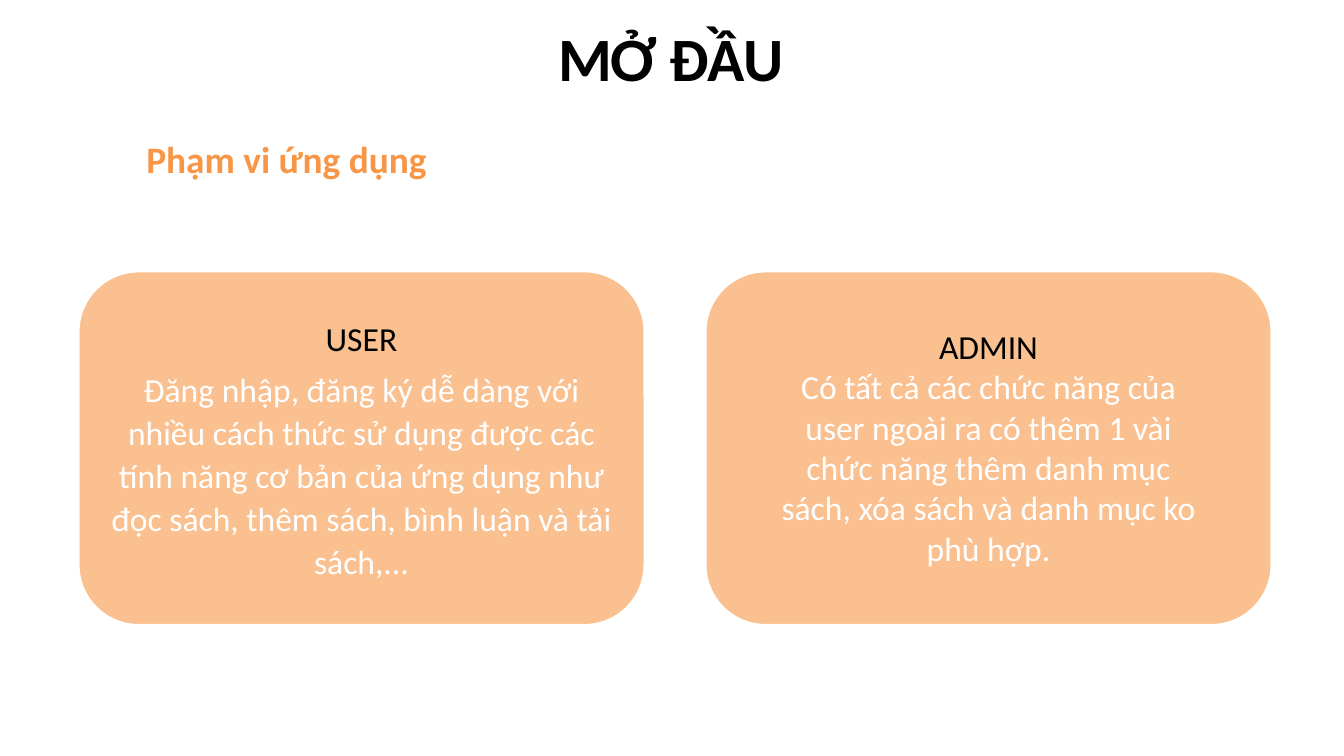
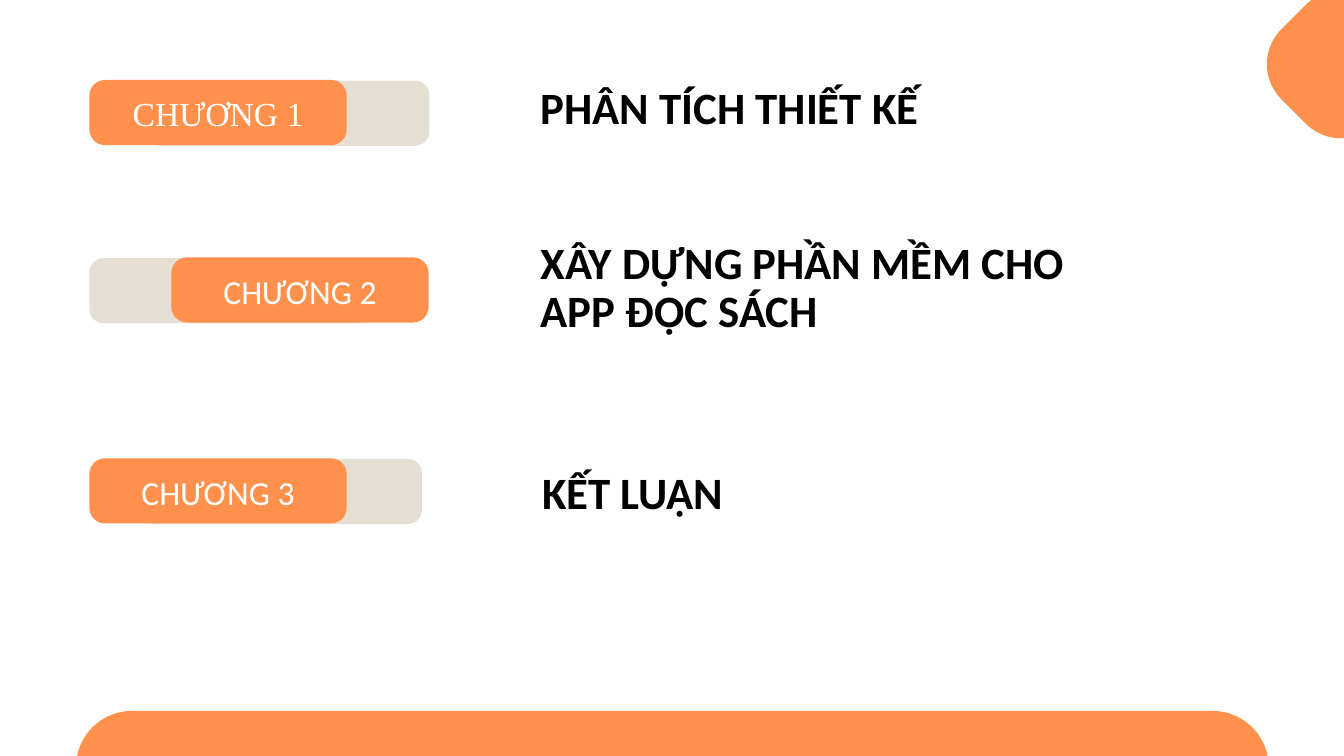
from pptx import Presentation
from pptx.dml.color import RGBColor
from pptx.enum.shapes import MSO_SHAPE
from pptx.enum.text import MSO_ANCHOR, PP_ALIGN
from pptx.util import Inches, Pt

ROUNDED = MSO_SHAPE.ROUNDED_RECTANGLE
MIDDLE, BOTTOM, TOP = MSO_ANCHOR.MIDDLE, MSO_ANCHOR.BOTTOM, MSO_ANCHOR.TOP
LEFT, CENTER = PP_ALIGN.LEFT, PP_ALIGN.CENTER

BLACK = RGBColor(0x00, 0x00, 0x00)
WHITE = RGBColor(0xFF, 0xFF, 0xFF)
PEACH = RGBColor(0xFA, 0xC0, 0x90)
AMBER = RGBColor(0xF7, 0x96, 0x46)
ORANGE = RGBColor(0xFF, 0x91, 0x4D)
BEIGE = RGBColor(0xE5, 0xDF, 0xD3)
FONT = "Calibri"


def add_rounded(slide, box, color, corner):
    """Add a borderless rounded rectangle; corner is radius / shorter side."""
    shape = slide.shapes.add_shape(ROUNDED, *[Inches(v) for v in box])
    shape.adjustments[0] = corner
    shape.shadow.inherit = False
    shape.fill.solid()
    shape.fill.fore_color.rgb = color
    shape.line.fill.background()
    return shape


def write(shape, lines, size, anchor=BOTTOM, align=LEFT, bold=False,
          spacing=0.9, after=6, font=FONT):
    """Fill a shape with paragraphs given as (text, color) pairs."""
    frame = shape.text_frame
    frame.word_wrap = True
    frame.vertical_anchor = anchor
    frame.text = "\n".join(text for text, _ in lines)
    for paragraph, (_, color) in zip(frame.paragraphs, lines):
        paragraph.alignment = align
        paragraph.line_spacing = spacing
        paragraph.space_after = Pt(after)
        run_font = paragraph.runs[0].font
        run_font.name = font
        run_font.size = Pt(size)
        run_font.bold = bold
        run_font.color.rgb = color


prs = Presentation()
prs.slide_width = Inches(20)
prs.slide_height = Inches(11.25)
blank = prs.slide_layouts[6]

# Slide 1: scope of the application
scope = prs.slides.add_slide(blank)
headings = [
    ("MỞ ĐẦU", (8.22, 0.37, 3.56, 1.09), 66, BLACK),
    ("Phạm vi ứng dụng", (2.08, 1.99, 5.17, 0.76), 40, AMBER),
]
for text, box, size, color in headings:
    heading = scope.shapes.add_textbox(*[Inches(v) for v in box])
    write(heading, [(text, color)], size, bold=True)

cards = []
for left in (1.17, 10.5):
    card = add_rounded(scope, (left, 4.04, 8.42, 5.26), PEACH, 0.17)
    card.line.color.rgb = WHITE
    card.line.width = Pt(2)
    cards.append(card)

user_lines = [
    ("USER", BLACK),
    ("Đăng nhập, đăng ký dễ dàng với nhiều cách thức sử dụng được các "
     "tính năng cơ bản của ứng dụng như đọc sách, thêm sách, bình luận "
     "và tải sách,...", WHITE),
]
write(cards[0], user_lines, 36, MIDDLE, CENTER, spacing=1.07, after=8)

admin_lines = [
    ("ADMIN", BLACK),
    ("Có tất cả các chức năng của user ngoài ra có thêm 1 vài chức năng "
     "thêm danh mục sách, xóa sách và danh mục ko phù hợp.", WHITE),
]
admin_text = scope.shapes.add_textbox(
    Inches(11.44), Inches(4.8), Inches(6.54), Inches(3.74))
write(admin_text, admin_lines, 36, TOP, CENTER, spacing=1.0, after=0)

# Slide 2: chapters
contents = prs.slides.add_slide(blank)
corner_diamond = add_rounded(contents, (18.96, -0.04, 1.99, 1.99), ORANGE, 0.37)
corner_diamond.rotation = 315
add_rounded(contents, (1.13, 10.58, 17.75, 1.67), ORANGE, 0.5)

# label, font, top, left of the beige tab, left of the orange tab, title, title box
chapters = [
    ("CHƯƠNG 1", "Times New Roman", 1.19, 2.19, 1.33,
     "PHÂN TÍCH THIẾT KẾ", (7.95, 1.12, 8.83, 0.93)),
    ("CHƯƠNG 2", FONT, 3.83, 1.33, 2.55,
     "XÂY DỰNG PHẦN MỀM CHO APP ĐỌC SÁCH", (7.95, 3.4, 9.18, 1.67)),
    ("CHƯƠNG 3", FONT, 6.82, 2.08, 1.33,
     "KẾT LUẬN", (7.97, 6.84, 4.53, 0.93)),
]
for label, font, top, beige_left, orange_left, title, title_box in chapters:
    add_rounded(contents, (beige_left, top + 0.01, 4.2, 0.97), BEIGE, 0.22)
    tab = add_rounded(contents, (orange_left, top, 3.83, 0.97), ORANGE, 0.24)
    frame = tab.text_frame
    frame.margin_left = frame.margin_right = Inches(0.06)
    frame.margin_top = frame.margin_bottom = Inches(0.06)
    write(tab, [(label, WHITE)], 36, MIDDLE, CENTER,
          spacing=Pt(44.8), after=0, font=font)
    chapter_title = contents.shapes.add_textbox(*[Inches(v) for v in title_box])
    write(chapter_title, [(title, BLACK)], 48, bold=True)

prs.save("out.pptx")
